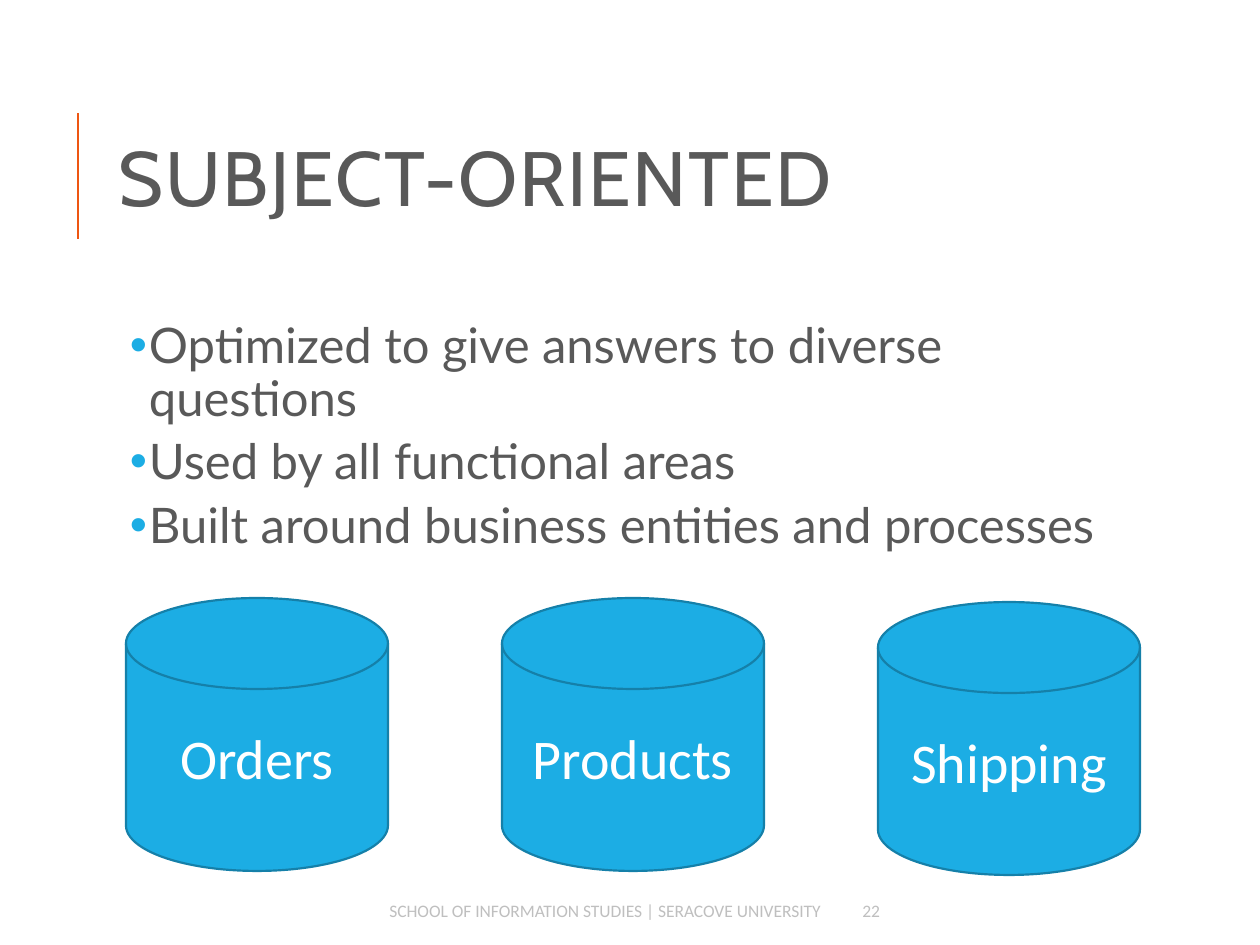
from lxml.etree import SubElement
from pptx import Presentation
from pptx.dml.color import RGBColor
from pptx.enum.shapes import MSO_CONNECTOR, MSO_SHAPE
from pptx.enum.text import MSO_ANCHOR, MSO_AUTO_SIZE, PP_ALIGN
from pptx.oxml.ns import qn
from pptx.util import Emu, Pt

BLUE = RGBColor(0x1C, 0xAD, 0xE4)
DARK_BLUE = RGBColor(0x15, 0x80, 0xA9)
ORANGE = RGBColor(0xEE, 0x56, 0x12)
DARK_GRAY = RGBColor(0x59, 0x59, 0x59)
LIGHT_GRAY = RGBColor(0xBF, 0xBF, 0xBF)
WHITE = RGBColor(0xFF, 0xFF, 0xFF)


def px(*lengths):
    return [Emu(round(length * 914400 / 126)) for length in lengths]


def write(para, text, font_name, size, color, align=PP_ALIGN.LEFT):
    para.text = text
    para.alignment = align
    para.font.name = font_name
    para.font.size = Pt(size)
    para.font.color.rgb = color


deck = Presentation()
deck.slide_width, deck.slide_height = px(1260, 945)
page = deck.slides.add_slide(deck.slide_layouts[5])
shapes = page.shapes

rule = shapes.add_connector(MSO_CONNECTOR.STRAIGHT, *px(78, 239, 78, 113))
rule.line.color.rgb = ORANGE
rule.line.width = Pt(1.5)
SubElement(rule.element.spPr, qn("a:effectLst"))

title = shapes.title
title.left, title.top, title.width, title.height = px(106, 81, 1004, 207)
title.text_frame.auto_size = MSO_AUTO_SIZE.NONE
title.text_frame.vertical_anchor = MSO_ANCHOR.MIDDLE
para = title.text_frame.paragraphs[0]
write(para, "SUBJECT-ORIENTED", "Cabin", 44, DARK_GRAY)
para.line_spacing = 0.8
para.runs[0].font._element.set("spc", "100")

body = shapes.add_textbox(*px(106, 315, 1034, 231)).text_frame
body.word_wrap = True
body.margin_left, body.margin_top, body.margin_right, body.margin_bottom = px(6, 6, 6, 6)
bullet_texts = [
    "Optimized to give answers to diverse questions",
    "Used by all functional areas",
    "Built around business entities and processes",
]
indent, hanging = px(37, -19)
for index, text in enumerate(bullet_texts):
    para = body.add_paragraph() if index else body.paragraphs[0]
    write(para, text, "Lato", 28, DARK_GRAY)
    para.line_spacing = 0.9
    para.space_before = Pt(2)
    para.space_after = Pt(4)
    properties = para._p.get_or_add_pPr()
    properties.set("marL", str(indent))
    properties.set("indent", str(hanging))
    bullet_color = properties.makeelement(qn("a:buClr"))
    SubElement(bullet_color, qn("a:srgbClr"), val=str(BLUE))
    bullet_font = properties.makeelement(qn("a:buFont"), typeface="Arial")
    bullet = properties.makeelement(qn("a:buChar"), char="•")
    position = properties.index(properties.find(qn("a:spcAft"))) + 1
    properties[position:position] = [bullet_color, bullet_font, bullet]

footers = [
    ("SCHOOL OF INFORMATION STUDIES | SERACOVE UNIVERSITY", 238, 595, PP_ALIGN.RIGHT),
    ("22", 850, 115, PP_ALIGN.LEFT),
]
for text, left, width, align in footers:
    footer = shapes.add_textbox(*px(left, 892, width, 38)).text_frame
    footer.word_wrap = True
    footer.vertical_anchor = MSO_ANCHOR.MIDDLE
    write(footer.paragraphs[0], text, "Calibri", 10, LIGHT_GRAY, align)

for index, (subject, top) in enumerate([("Orders", 598), ("Products", 598), ("Shipping", 602)]):
    disk = shapes.add_shape(
        MSO_SHAPE.FLOWCHART_MAGNETIC_DISK, *px(126 + 376 * index, top, 262, 273)
    )
    disk.shadow.inherit = False
    disk.fill.solid()
    disk.fill.fore_color.rgb = BLUE
    disk.line.color.rgb = DARK_BLUE
    disk.line.width = Pt(1.25)
    disk.text_frame.vertical_anchor = MSO_ANCHOR.MIDDLE
    write(disk.text_frame.paragraphs[0], subject, "Calibri", 32, WHITE, PP_ALIGN.CENTER)

deck.save("out.pptx")
